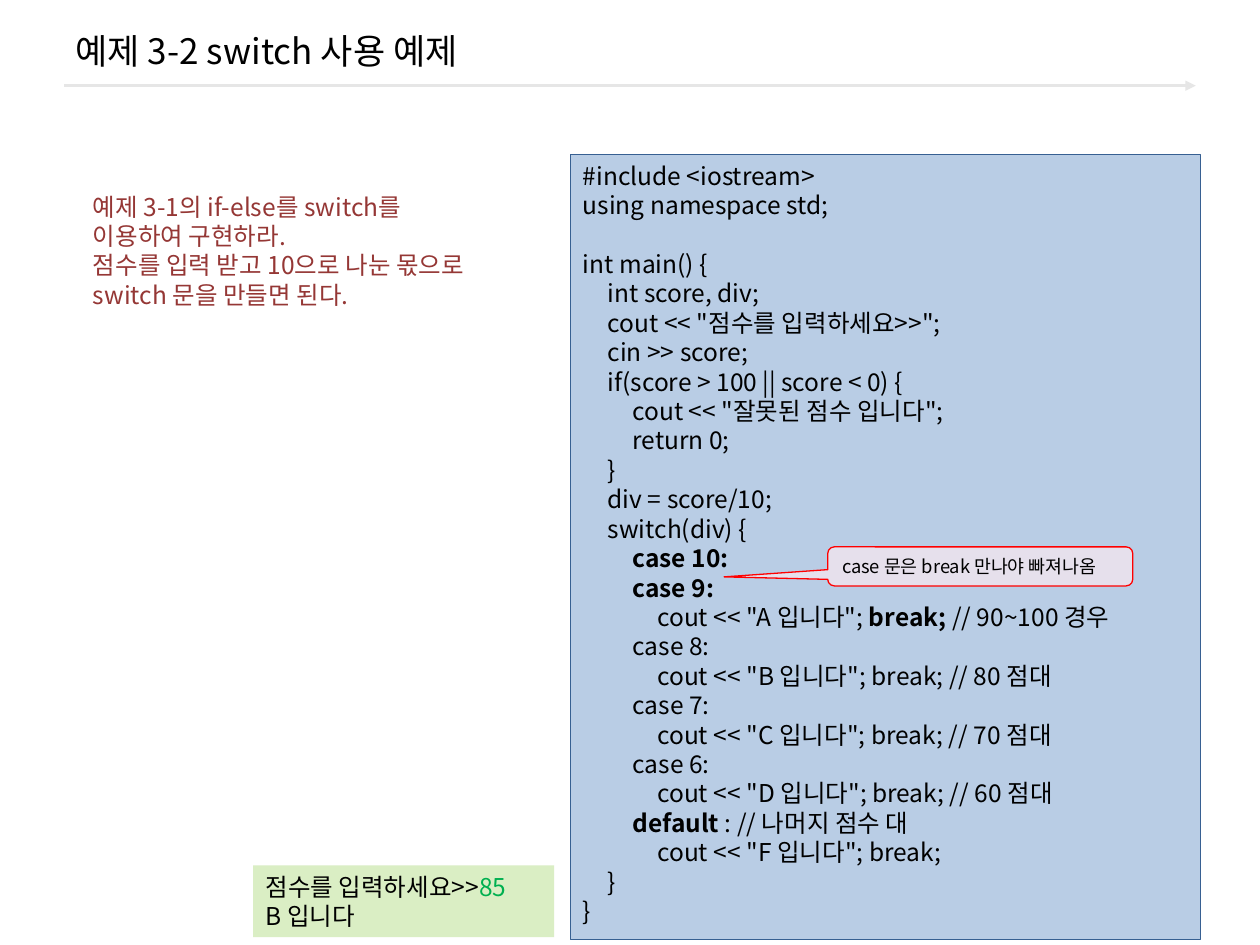
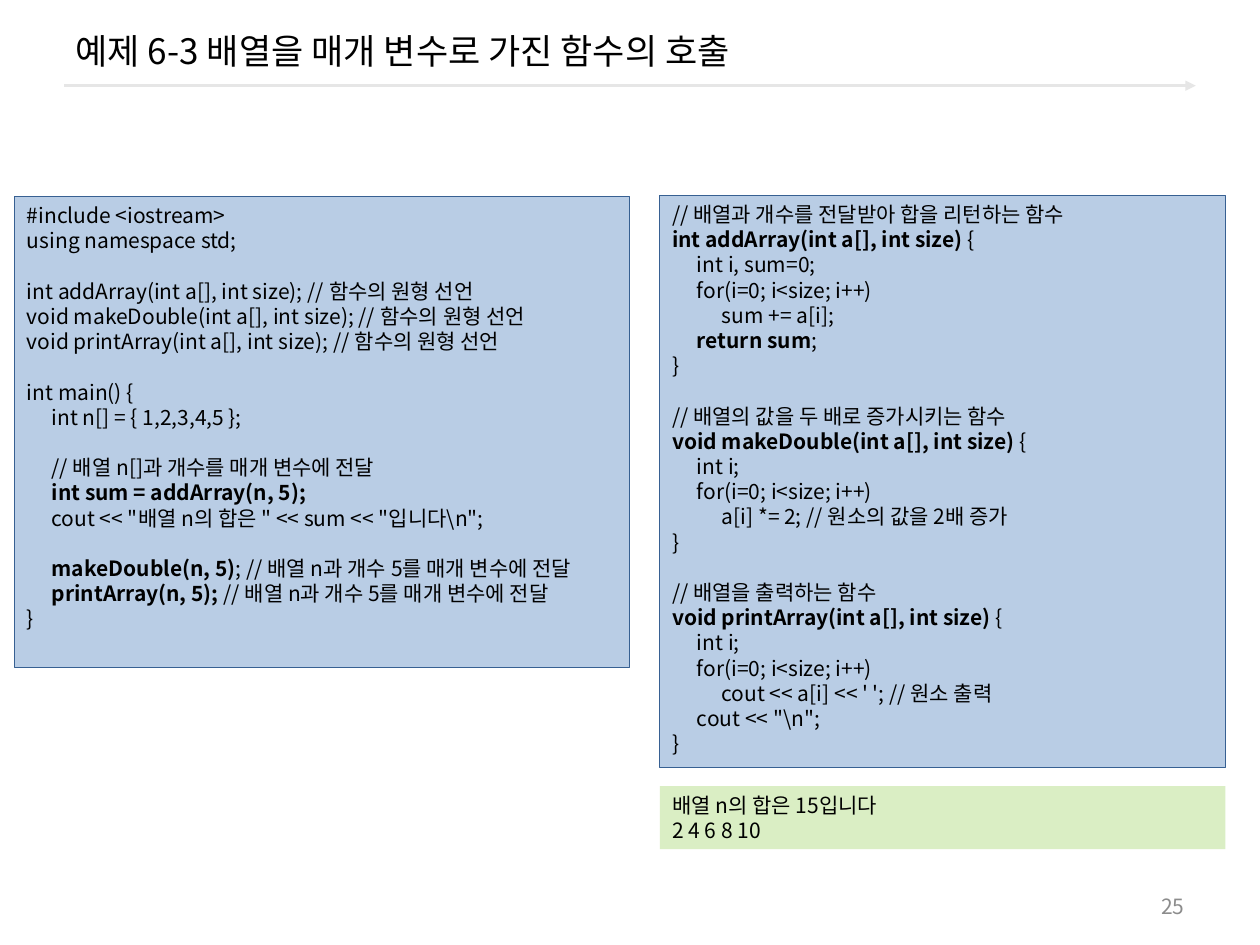
from dataclasses import dataclass

from lxml.etree import SubElement
from pptx import Presentation
from pptx.dml.color import RGBColor as RGB
from pptx.enum.shapes import MSO_CONNECTOR as CONN, MSO_SHAPE as SHAPE
from pptx.enum.text import MSO_ANCHOR as ANCHOR, MSO_AUTO_SIZE as FIT, PP_ALIGN as ALIGN
from pptx.oxml.ns import qn
from pptx.util import Pt


@dataclass(frozen=True)
class Theme:
    font: str = "Noto Sans CJK KR"
    # Colours
    text: str = "000000"
    rule: str = "E6E6E6"
    task: str = "953735"
    typed: str = "00B050"
    page: str = "8C8C8C"
    code_fill: str = "B9CDE5"
    code_line: str = "376092"
    output_fill: str = "DAEEC4"
    note_fill: str = "E6E0EC"
    note_line: str = "FF0000"
    # Type sizes and code indent, in points
    title_size: float = 20
    large: float = 14
    small: float = 12
    note_size: float = 10.5
    tab: float = 14.17


T = Theme()

# Code listings: four leading spaces make one tab, ** switches bold
SWITCH_CODE = r'''#include <iostream>
using namespace std;

int main() {
    int score, div;
    cout << "점수를 입력하세요>>";
    cin >> score;
    if(score > 100 || score < 0) {
        cout << "잘못된 점수 입니다";
        return 0;
    }
    div = score/10;
    switch(div) {
        **case 10:**
        **case 9:**
            cout << "A 입니다"; **break; **// 90~100 경우
        case 8:
            cout << "B 입니다"; break; // 80 점대
        case 7:
            cout << "C 입니다"; break; // 70 점대
        case 6:
            cout << "D 입니다"; break; // 60 점대
        **default **: // 나머지 점수 대
            cout << "F 입니다"; break;
    }
}'''

MAIN_CODE = r'''#include <iostream>
using namespace std;

int addArray(int a[], int size); // 함수의 원형 선언
void makeDouble(int a[], int size); // 함수의 원형 선언
void printArray(int a[], int size); // 함수의 원형 선언

int main() {
    int n[] = { 1,2,3,4,5 };

    // 배열 n[]과 개수를 매개 변수에 전달
    **int sum = addArray(n, 5);**
    cout << "배열 n의 합은 " << sum << "입니다\n";

    **makeDouble(n, 5)**; // 배열 n과 개수 5를 매개 변수에 전달
    **printArray(n, 5); **// 배열 n과 개수 5를 매개 변수에 전달
}'''

ARRAY_CODE = r'''// 배열과 개수를 전달받아 합을 리턴하는 함수
**int addArray(int a[], int size) **{
    int i, sum=0;
    for(i=0; i<size; i++)
        sum += a[i];
    **return sum**;
}

// 배열의 값을 두 배로 증가시키는 함수
**void makeDouble(int a[], int size) **{
    int i;
    for(i=0; i<size; i++)
        a[i] *= 2; // 원소의 값을 2배 증가
}

// 배열을 출력하는 함수
**void printArray(int a[], int size) **{
    int i;
    for(i=0; i<size; i++)
        cout << a[i] << ' '; // 원소 출력
    cout << "\n";
}'''


def rgb(value):
    return RGB.from_string(value)


def apply(obj, **values):
    for name, value in values.items():
        setattr(obj, name, value)


def add_run(p, text, size, color=T.text, bold=False):
    r = p.add_run()
    r.text = text
    apply(r.font, name=T.font, size=Pt(size), bold=bold)
    r.font.color.rgb = rgb(color)
    SubElement(r.font._element, qn("a:ea"), typeface=T.font)


def set_tabs(p):
    tabs = SubElement(p._p.get_or_add_pPr(), qn("a:tabLst"))
    for level in range(1, 4):
        SubElement(tabs, qn("a:tab"), pos=str(Pt(T.tab * level)), algn="l")


def fill_text(tf, lines, size, color=T.text, align=ALIGN.LEFT, **frame):
    """Write one paragraph per line; a line is a list of (text, colour, bold)."""
    apply(tf, **{"word_wrap": True, "auto_size": FIT.NONE,
                 "vertical_anchor": ANCHOR.TOP, **frame})
    for i, line in enumerate(lines):
        p = tf.add_paragraph() if i else tf.paragraphs[0]
        p.alignment = align
        runs = [(line, color, False)] if isinstance(line, str) else line
        if any("\t" in text for text, _, _ in runs):
            set_tabs(p)
        for text, run_color, bold in runs:
            add_run(p, text, size, run_color, bold)
        if not runs:
            SubElement(p._p, qn("a:endParaRPr"), sz=str(size * 100))


def code_runs(line):
    parts = line.replace("    ", "\t").split("**")
    return [(part, T.text, i % 2 == 1) for i, part in enumerate(parts) if part]


def add_panel(s, box, fill, line=None, kind=SHAPE.RECTANGLE):
    sp = s.shapes.add_shape(kind, *map(Pt, box))
    sp.shadow.inherit = False
    sp.fill.solid()
    sp.fill.fore_color.rgb = rgb(fill)
    if line:
        sp.line.color.rgb = rgb(line)
        sp.line.width = Pt(0.75)
    else:
        sp.line.fill.background()
    return sp


def add_code(s, box, code, size):
    sp = add_panel(s, box, T.code_fill, T.code_line)
    fill_text(sp.text_frame, map(code_runs, code.split("\n")), size)


def add_output(s, box, lines, size):
    fill_text(add_panel(s, box, T.output_fill).text_frame, lines, size)


def add_label(s, box, lines, size, color, **style):
    sp = s.shapes.add_textbox(*map(Pt, box))
    fill_text(sp.text_frame, lines, size, color, **style)


def add_callout(s, box, text, tip):
    sp = add_panel(s, box, T.note_fill, T.note_line, SHAPE.ROUNDED_RECTANGULAR_CALLOUT)
    for i, value in enumerate((*tip, 0.17)):
        sp.adjustments[i] = value
    fill_text(sp.text_frame, [text], T.note_size, word_wrap=False)


def add_title_rule(prs, s):
    """Draw the arrow under the title and hand it to the master."""
    cn = s.shapes.add_connector(CONN.STRAIGHT, Pt(36.7), Pt(49), Pt(683.3), Pt(49))
    cn.line.color.rgb = rgb(T.rule)
    cn.line.width = Pt(1.5)
    SubElement(cn.line._get_or_add_ln(), qn("a:tailEnd"), type="triangle")
    SubElement(cn._element.spPr, qn("a:effectLst"))
    prs.slide_master.shapes._spTree.append(cn._element)


def add_slide(prs, title):
    s = prs.slides.add_slide(prs.slide_layouts[5])
    sp = s.shapes.title
    apply(sp, left=Pt(36), top=Pt(5.8), width=Pt(648), height=Pt(46))
    fill_text(sp.text_frame, [title], T.title_size, vertical_anchor=ANCHOR.MIDDLE)
    return s


def build_switch_slide(prs):
    s = add_slide(prs, "예제 3-2 switch 사용 예제")
    add_title_rule(prs, s)
    add_label(s, (46, 106, 229, 75),
              ["예제 3-1의 if-else를 switch를 이용하여 구현하라.",
               "점수를 입력 받고 10으로 나눈 몫으로 switch 문을 만들면 된다."],
              T.large, T.task)
    add_code(s, (326, 88.3, 360, 448.6), SWITCH_CODE, T.large)
    add_output(s, (144.7, 494.6, 172, 41),
               [[("점수를 입력하세요>>", T.text, False), ("85", T.typed, False)], "B 입니다"],
               T.large)
    add_callout(s, (473, 312.5, 174.3, 22.3), "case 문은 break 만나야 빠져나옴",
                tip=(-0.84, 0.27))


def build_array_slide(prs):
    s = add_slide(prs, "예제 6-3 배열을 매개 변수로 가진 함수의 호출")
    add_label(s, (516, 506, 168, 23), ["25"], T.small, T.page,
              align=ALIGN.RIGHT, vertical_anchor=ANCHOR.MIDDLE)
    add_code(s, (8.3, 112.3, 351.4, 269), MAIN_CODE, T.small)
    add_code(s, (377, 111.6, 323.3, 327), ARRAY_CODE, T.small)
    add_output(s, (377, 449.3, 323.3, 36), ["배열 n의 합은 15입니다", "2 4 6 8 10"], T.small)


def main():
    prs = Presentation()
    apply(prs, slide_width=Pt(720), slide_height=Pt(540))
    build_switch_slide(prs)
    build_array_slide(prs)
    prs.save("out.pptx")


if __name__ == "__main__":
    main()
